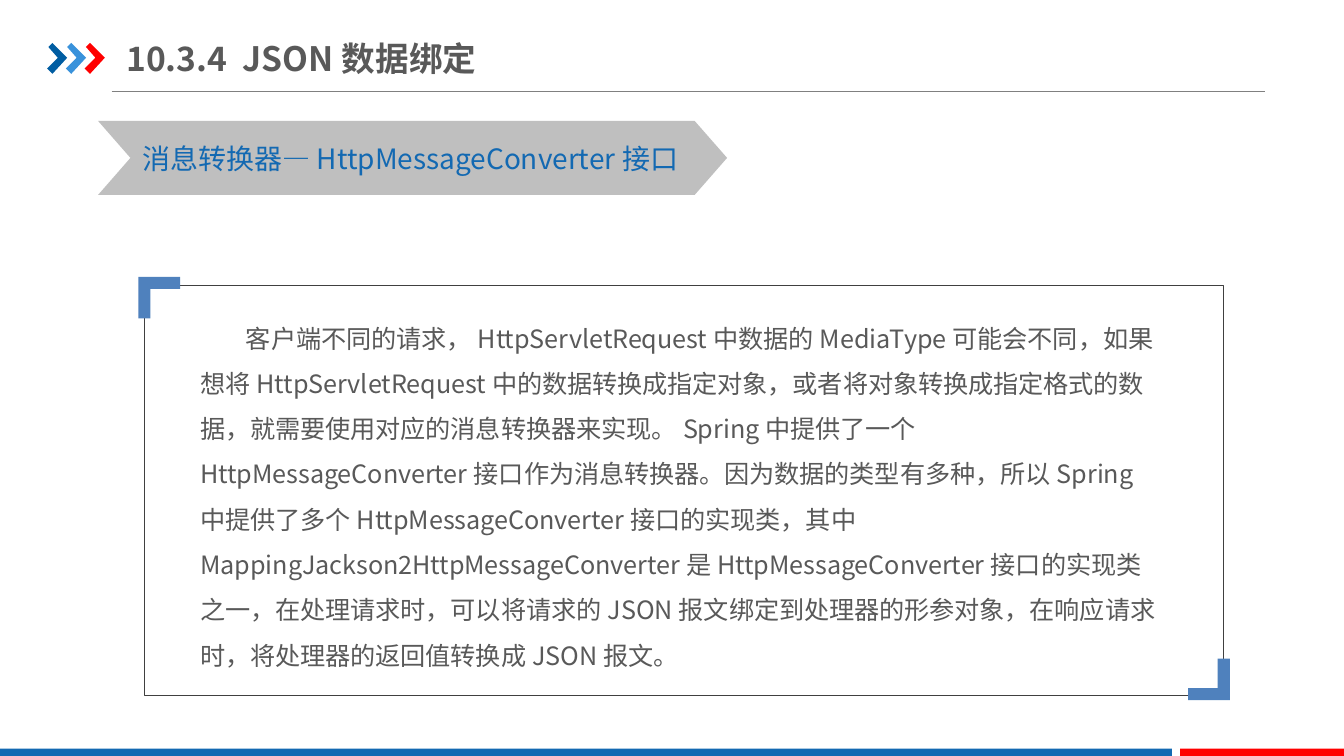
from dataclasses import dataclass

from lxml import etree
from pptx import Presentation
from pptx.dml.color import RGBColor
from pptx.enum.shapes import MSO_CONNECTOR, MSO_SHAPE
from pptx.enum.text import MSO_ANCHOR, MSO_AUTO_SIZE, PP_ALIGN
from pptx.oxml.ns import qn
from pptx.shapes.autoshape import Shape
from pptx.slide import Slide
from pptx.util import Inches, Pt

RECTANGLE = MSO_SHAPE.RECTANGLE
CHEVRON = MSO_SHAPE.CHEVRON
STRAIGHT = MSO_CONNECTOR.STRAIGHT
TOP = MSO_ANCHOR.TOP
MIDDLE = MSO_ANCHOR.MIDDLE
LEFT = PP_ALIGN.LEFT
NO_AUTOFIT = MSO_AUTO_SIZE.NONE

SLIDE_WIDTH = 10
SLIDE_HEIGHT = SLIDE_WIDTH * 9 / 16

FONT = "Noto Sans CJK SC"
WHITE = RGBColor(0xFF, 0xFF, 0xFF)
NAVY = RGBColor(0x00, 0x5D, 0xA2)
SKY = RGBColor(0x39, 0x92, 0xDB)
RED = RGBColor(0xFF, 0x00, 0x00)
BLUE = RGBColor(0x13, 0x69, 0xB2)
CORNER_BLUE = RGBColor(0x4F, 0x81, 0xBD)
SILVER = RGBColor(0xBF, 0xBF, 0xBF)
GRAY = RGBColor(0x80, 0x80, 0x80)
FRAME_GRAY = RGBColor(0x40, 0x40, 0x40)
TEXT_GRAY = RGBColor(0x59, 0x59, 0x59)

ARROW_OUTLINE = [(0.01, 0.03), (0.04, 0), (0.15, 0.11), (0.04, 0.23), (0, 0.19), (0.08, 0.11)]
CORNER_OUTLINE = [(0, 0), (0.31, 0), (0.31, 0.09), (0.09, 0.09), (0.09, 0.31), (0, 0.31)]

BODY = (
    "客户端不同的请求，HttpServletRequest中数据的MediaType可能会不同，"
    "如果想将HttpServletRequest中的数据转换成指定对象，"
    "或者将对象转换成指定格式的数据，就需要使用对应的消息转换器来实现。"
    "Spring中提供了一个HttpMessageConverter接口作为消息转换器。"
    "因为数据的类型有多种，所以Spring中提供了多个HttpMessageConverter接口的实现类，"
    "其中MappingJackson2HttpMessageConverter是HttpMessageConverter接口的实现类之一，"
    "在处理请求时，可以将请求的JSON报文绑定到处理器的形参对象，"
    "在响应请求时，将处理器的返回值转换成JSON报文。"
)


@dataclass(frozen=True)
class Box:
    left: float
    top: float
    width: float
    height: float


@dataclass(frozen=True)
class Outline:
    points: list[tuple[float, float]]
    left: float
    top: float
    color: RGBColor
    rotation: float = 0


@dataclass(frozen=True)
class Block:
    preset: MSO_SHAPE
    box: Box
    color: RGBColor


OUTLINES = [
    Outline(ARROW_OUTLINE, 0.35 + index * 0.14, 0.32, color)
    for index, color in enumerate((NAVY, SKY, RED))
] + [
    Outline(CORNER_OUTLINE, 1.03, 2.06, CORNER_BLUE),
    Outline(CORNER_OUTLINE, 8.84, 4.9, CORNER_BLUE, 180),
]

BLOCKS = [
    Block(RECTANGLE, Box(0, 5.57, 8.72, 0.07), BLUE),
    Block(RECTANGLE, Box(8.78, 5.57, 1.22, 0.07), RED),
    Block(CHEVRON, Box(0.73, 0.9, 4.68, 0.55), SILVER),
]


def lengths(box: Box) -> tuple:
    return Inches(box.left), Inches(box.top), Inches(box.width), Inches(box.height)


def paint(shape: Shape, color: RGBColor) -> None:
    shape.shadow.inherit = False
    shape.fill.solid()
    shape.fill.fore_color.rgb = color
    shape.line.fill.background()


def draw_outline(slide: Slide, outline: Outline) -> None:
    points = [
        (Inches(outline.left + x), Inches(outline.top + y)) for x, y in outline.points
    ]
    builder = slide.shapes.build_freeform(*points[0])
    builder.add_line_segments(points[1:], close=True)
    shape = builder.convert_to_shape()
    shape.rotation = outline.rotation
    paint(shape, outline.color)


def draw_block(slide: Slide, block: Block) -> None:
    shape = slide.shapes.add_shape(block.preset, *lengths(block.box))
    if block.preset == CHEVRON:
        shape.adjustments[0] = 0.438
    paint(shape, block.color)


def draw_frame(slide: Slide, box: Box) -> None:
    shape = slide.shapes.add_shape(RECTANGLE, *lengths(box))
    shape.shadow.inherit = False
    shape.fill.background()
    shape.line.color.rgb = FRAME_GRAY
    shape.line.width = Pt(0.25)


def draw_rule(slide: Slide, left: float, right: float, top: float) -> None:
    rule = slide.shapes.add_connector(
        STRAIGHT, Inches(left), Inches(top), Inches(right), Inches(top)
    )
    rule.line.color.rgb = GRAY
    rule.line.width = Pt(0.75)
    etree.SubElement(rule.element.spPr, qn("a:effectLst"))


def write_text(
    shape: Shape,
    text: str,
    *,
    size: float,
    color: RGBColor,
    bold: bool = False,
    wrap: bool = True,
    anchor: MSO_ANCHOR = TOP,
    margins: tuple[float, float] = (0.1, 0.05),
    line_spacing: float = 1.0,
    first_line: float = 0,
) -> None:
    frame = shape.text_frame
    frame.auto_size = NO_AUTOFIT
    frame.word_wrap = wrap
    frame.vertical_anchor = anchor
    frame.margin_left = frame.margin_right = Inches(margins[0])
    frame.margin_top = frame.margin_bottom = Inches(margins[1])
    paragraph = frame.paragraphs[0]
    paragraph.alignment = LEFT
    paragraph.line_spacing = line_spacing
    paragraph.space_before = Pt(0)
    paragraph._p.get_or_add_pPr().set("indent", str(Inches(first_line)))
    run = paragraph.add_run()
    run.text = text
    run.font.size = Pt(size)
    run.font.bold = bold
    run.font.color.rgb = color
    run.font.name = FONT
    etree.SubElement(run.font._element, qn("a:ea"), typeface=FONT)


def main() -> None:
    presentation = Presentation()
    presentation.slide_width = Inches(SLIDE_WIDTH)
    presentation.slide_height = Inches(SLIDE_HEIGHT)
    slide = presentation.slides.add_slide(presentation.slide_layouts[5])
    slide.background.fill.solid()
    slide.background.fill.fore_color.rgb = WHITE

    draw_rule(slide, 0.83, 9.41, 0.68)
    for block in BLOCKS:
        draw_block(slide, block)
    draw_frame(slide, Box(1.07, 2.12, 8.03, 3.05))
    for outline in OUTLINES:
        draw_outline(slide, outline)

    title = slide.shapes.title
    title.left, title.top, title.width, title.height = lengths(Box(0.94, 0.22, 2.7, 0.42))
    write_text(title, "10.3.4  JSON数据绑定", size=18, color=TEXT_GRAY, bold=True,
               anchor=MIDDLE, margins=(0, 0.05))
    banner_label = slide.shapes.add_textbox(*lengths(Box(0.96, 1, 4.24, 0.35)))
    write_text(banner_label, "消息转换器—HttpMessageConverter接口", size=15, color=BLUE,
               wrap=False)
    body = slide.shapes.add_textbox(*lengths(Box(1.42, 2.25, 7.28, 2.52)))
    write_text(body, BODY, size=13.5, color=TEXT_GRAY, margins=(0.07, 0.04),
               line_spacing=1.5, first_line=0.34)
    presentation.save("out.pptx")


if __name__ == "__main__":
    main()
